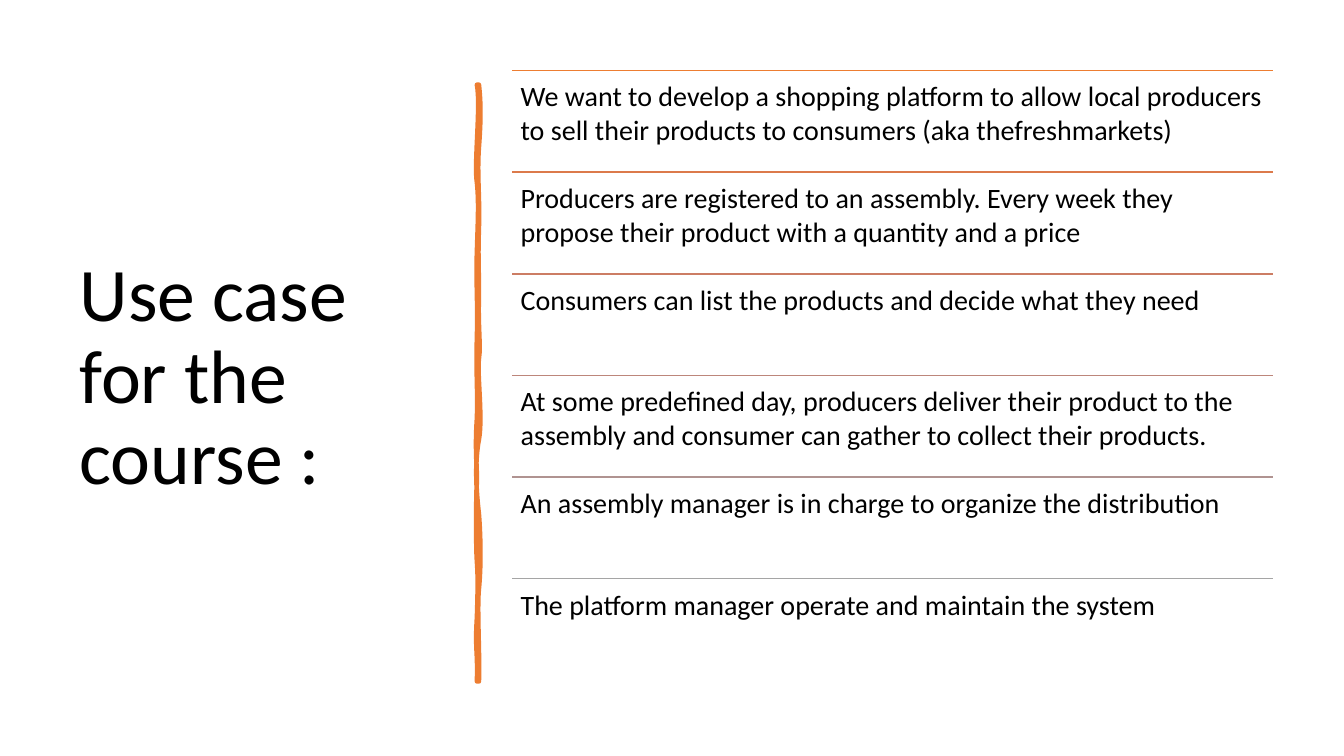
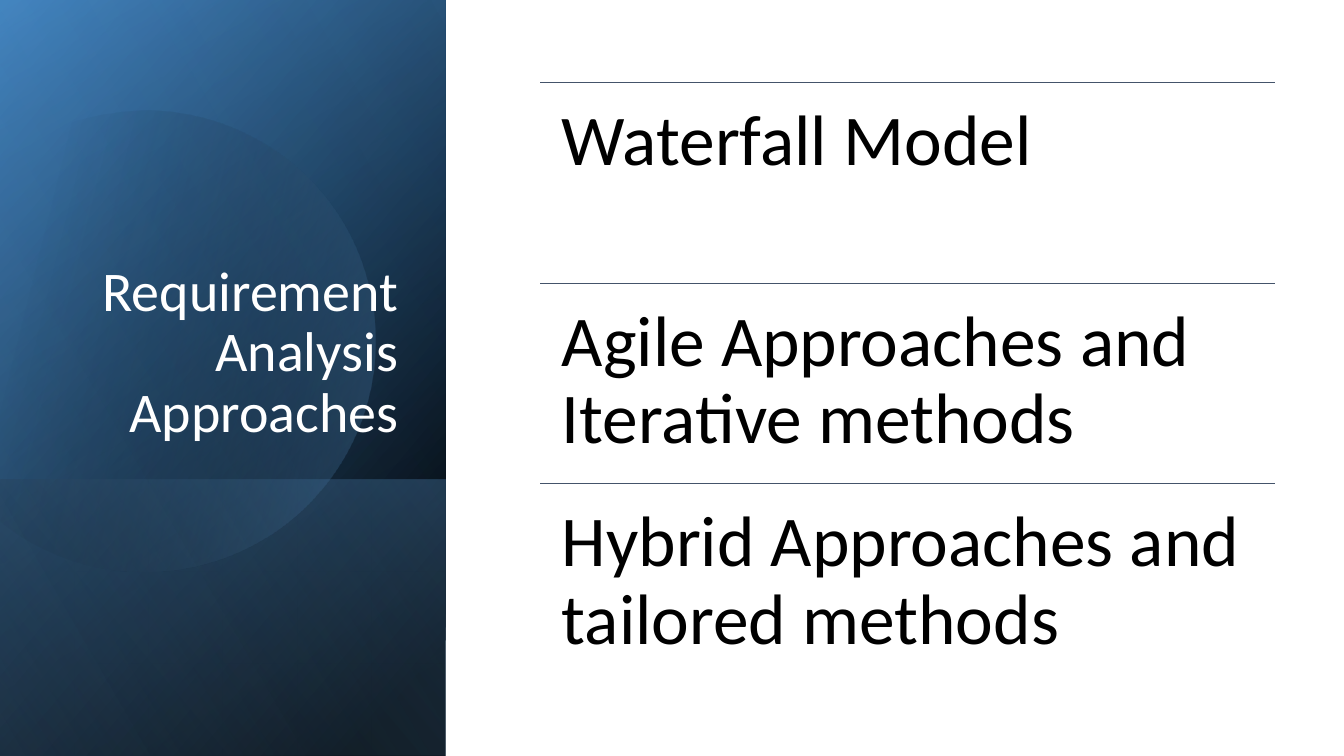
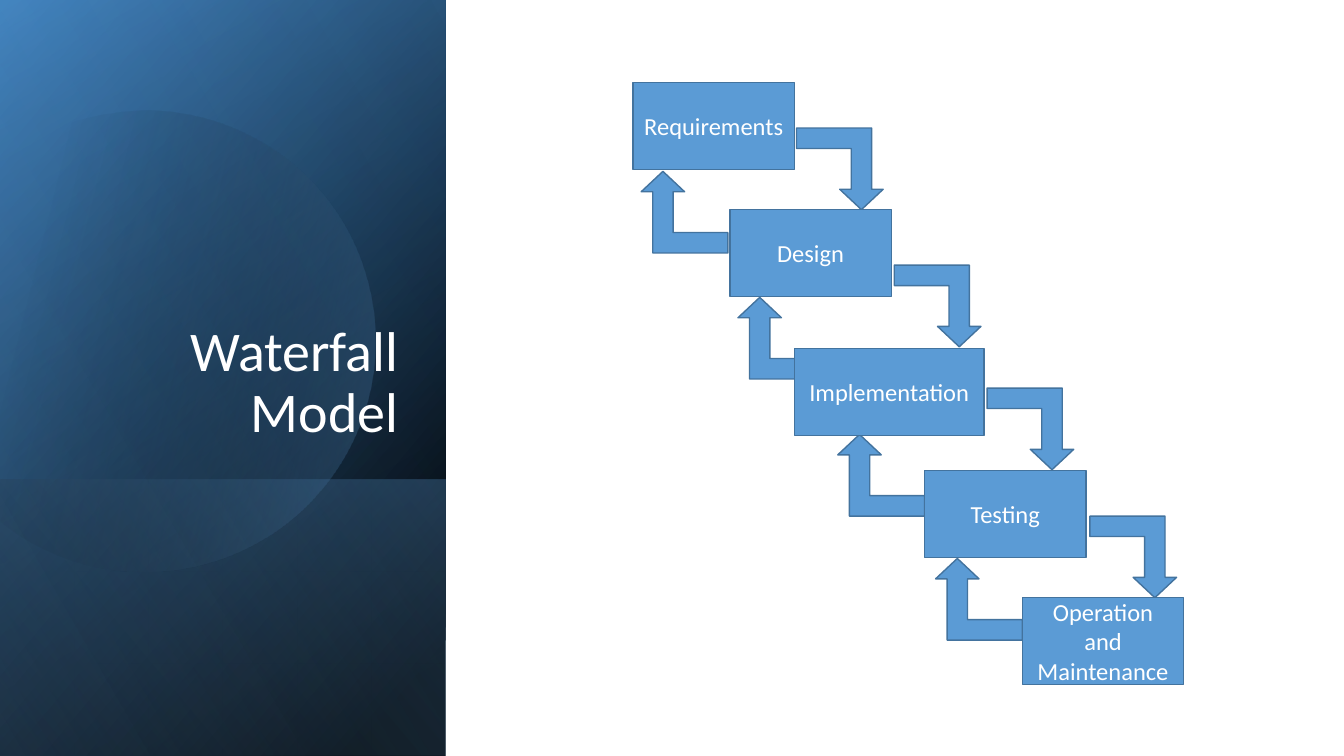
import math

import pptx
import pptx.util
import pptx.dml.color
import pptx.enum.shapes
import pptx.enum.text
import pptx.oxml.ns
from lxml import etree

Inches, Pt, qn = pptx.util.Inches, pptx.util.Pt, pptx.oxml.ns.qn
SHAPE = pptx.enum.shapes.MSO_SHAPE
ALIGN = pptx.enum.text.PP_ALIGN
ANCHOR = pptx.enum.text.MSO_ANCHOR

W, H = 13.33, 7.5
PANEL_W = 4.42
BLACK, WHITE, ORANGE, BLUE, EDGE = "000000", "FFFFFF", "ED7D31", "5B9BD5", "43739E"


def paint(sp, fill, line=None, width=1, angle=0):
    """Fill with a hex colour or with (position, hex, opacity) stops along a clockwise angle."""
    sp.shadow.inherit = False
    if isinstance(fill, str):
        sp.fill.solid()
        sp.fill.fore_color.rgb = pptx.dml.color.RGBColor.from_string(fill)
    else:
        sp.fill.gradient()
        sp.fill.gradient_angle = 360 - angle
        for stop, (pos, colour, _) in zip(sp.fill.gradient_stops, fill):
            stop.position = pos / 100
            stop.color.rgb = pptx.dml.color.RGBColor.from_string(colour)
        for clr, (_, _, opacity) in zip(sp._element.spPr.iter(qn("a:srgbClr")), fill):
            if opacity < 100:
                etree.SubElement(clr, qn("a:alpha")).set("val", str(opacity * 1000))
    if line:
        sp.line.color.rgb = pptx.dml.color.RGBColor.from_string(line)
        sp.line.width = Pt(width)
    else:
        sp.line.fill.background()


def write(sp, text, size, colour, align=ALIGN.LEFT, anchor=ANCHOR.TOP, spacing=1.0, inset=None):
    tf = sp.text_frame
    tf.word_wrap = True
    tf.auto_size = pptx.enum.text.MSO_AUTO_SIZE.NONE
    tf.vertical_anchor = anchor
    if inset:
        tf.margin_left = tf.margin_right = tf.margin_top = tf.margin_bottom = Pt(inset)
    p = tf.paragraphs[0]
    p.alignment, p.line_spacing = align, spacing
    r = p.add_run()
    r.text = text
    r.font.name, r.font.size = "Calibri", Pt(size)
    r.font.color.rgb = pptx.dml.color.RGBColor.from_string(colour)


prs = pptx.Presentation()
prs.slide_width, prs.slide_height = Inches(W), Inches(H)
title_only = prs.slide_layouts[5]
use_case, approaches, waterfall = [prs.slides.add_slide(title_only) for _ in range(3)]

# Titles
titles = [
    (use_case, "Use case for the course :", (0.69, 0.7, 3.74, 6.11),
     (54, BLACK, ALIGN.LEFT, ANCHOR.MIDDLE)),
    (approaches, "Requirement Analysis Approaches", (0.64, 1.84, 3.41, 2.62),
     (40, WHITE, ALIGN.RIGHT, ANCHOR.BOTTOM)),
    (waterfall, "Waterfall Model", (0.64, 1.84, 3.41, 2.62),
     (40, WHITE, ALIGN.RIGHT, ANCHOR.BOTTOM)),
]
for s, text, box, style in titles:
    sp = s.shapes.title
    sp.left, sp.top, sp.width, sp.height = map(Inches, box)
    write(sp, text, *style, spacing=0.9)

# Outlines in inches: a start point, then lines (one point) and Bézier curves (three points)
brush = [
    [(4.75, 0.84)],
    [(4.77, 1.02), (4.77, 1.19), (4.75, 1.46)],
    [(4.73, 1.73), (4.76, 1.95), (4.75, 2.26)],
    [(4.74, 2.57), (4.75, 2.62), (4.75, 2.94)],
    [(4.74, 3.25), (4.77, 3.42), (4.75, 3.56)],
    [(4.73, 3.7), (4.79, 4.14), (4.75, 4.36)],
    [(4.71, 4.57), (4.72, 4.84), (4.75, 5.1)],
    [(4.77, 5.36), (4.77, 5.64), (4.75, 5.84)],
    [(4.73, 6.03), (4.76, 6.5), (4.75, 6.76)],
    [(4.73, 6.76)],
    [(4.74, 6.46), (4.71, 6.44), (4.73, 6.13)],
    [(4.74, 5.83), (4.74, 5.7), (4.73, 5.57)],
    [(4.72, 5.44), (4.72, 4.95), (4.73, 4.77)],
    [(4.73, 4.59), (4.71, 4.45), (4.73, 4.15)],
    [(4.74, 3.86), (4.72, 3.73), (4.73, 3.35)],
    [(4.74, 2.98), (4.72, 2.81), (4.73, 2.5)],
    [(4.74, 2.18), (4.75, 2), (4.73, 1.81)],
    [(4.7, 1.63), (4.77, 1.04), (4.73, 0.84)],
]
disc = [
    [(1.49, 1.1)],
    [(2.46, 1.12), (3.35, 1.77), (3.63, 2.75)],
    [(3.98, 3.97), (3.28, 5.23), (2.07, 5.58)],
    [(1.31, 5.8), (0.53, 5.61), (-0.03, 5.14)],
    [(-0.15, 5.03)],
    [(-0.15, 1.75)],
    [(0, 1.61)],
    [(0.23, 1.42), (0.5, 1.28), (0.8, 1.19)],
    [(1.03, 1.13), (1.26, 1.1), (1.49, 1.1)],
]
DISC_TILT = 16.1
freeforms = []
for s, segments, tilt in [(use_case, brush, 0), (approaches, disc, DISC_TILT),
                          (waterfall, disc, DISC_TILT)]:
    # The outline is turned upright here, and the shape's rotation tilts it back
    turn = complex(math.cos(math.radians(tilt)), math.sin(math.radians(tilt)))
    upright = [complex(x, y) * turn for seg in segments for x, y in seg]
    points = [(Inches(z.real), Inches(z.imag)) for z in upright]
    fb = s.shapes.build_freeform(*points[0], scale=1.0)
    fb.add_line_segments(points[1:], close=True)
    sp = fb.convert_to_shape()
    centre = complex(sp.left + sp.width / 2, sp.top + sp.height / 2) / turn
    sp.left = round(centre.real - sp.width / 2)
    sp.top = round(centre.imag - sp.height / 2)
    sp.rotation = -tilt % 360
    # Join each triple of points into one curve
    nodes = iter(list(sp._element.iter(qn("a:lnTo"))))
    for seg in segments[1:]:
        group = [next(nodes) for _ in seg]
        if len(group) == 3:
            curve = etree.Element(qn("a:cubicBezTo"))
            group[0].addprevious(curve)
            for node in group:
                curve.append(node[0])
                node.getparent().remove(node)
    freeforms.append(sp)
brush_stroke, *discs = freeforms
paint(brush_stroke, ORANGE, ORANGE, 3.25)

# Blue side panel: turned rectangles rising from the bottom edge, with the disc among them
layers = [
    (H, [(8, BLACK, 100), (100, "2E75B6", 100)], 50),
    (H, [(0, BLACK, 0), (99, BLUE, 46)], 30),
    (2.74, [(2, BLUE, 29), (100, BLACK, 30)], 130),
    (None, [(29, BLACK, 0), (100, BLUE, 43)], 30),
    (H, [(0, BLACK, 0), (99, "9DC3E6", 11)], 120),
]
for s, panel_disc in zip((approaches, waterfall), discs):
    title = s.shapes.title._element
    for rise, stops, angle in layers:
        sp = panel_disc
        if rise:
            sp = s.shapes.add_shape(SHAPE.RECTANGLE, Inches((PANEL_W - rise) / 2),
                                    Inches(H - (rise + PANEL_W) / 2),
                                    Inches(rise), Inches(PANEL_W))
            sp.rotation = 90
            sp._element.spPr.xfrm.set("flipH", "1")
        paint(sp, stops, angle=angle)
        title.addprevious(sp._element)

# Ruled lists: left, top, width, row height, text size, line spacing, inset, rule width, rows
use_case_rows = [
    (ORANGE, "We want to develop a shopping platform to allow local producers to sell "
             "their products to consumers (aka thefreshmarkets)"),
    ("DC7A4B", "Producers are registered to an assembly. Every week they propose their "
               "product with a quantity and a price"),
    ("CC7D64", "Consumers can list the products and decide what they need"),
    ("BD867B", "At some predefined day, producers deliver their product to the assembly "
               "and consumer can gather to collect their products."),
    ("B09391", "An assembly manager is in charge to organize the distribution"),
    ("A5A5A5", "The platform manager operate and maintain the system"),
]
approach_rows = [("44546A", text) for text in (
    "Waterfall Model",
    "Agile Approaches and Iterative methods",
    "Hybrid Approaches and tailored methods",
)]
lists = [
    (use_case, 5.08, 0.7, 7.55, 6.05 / 6, 20, 1.0, 6, 1, use_case_rows),
    (approaches, 5.36, 0.82, 7.29, 1.99, 51, 0.9, 15.3, 0.5, approach_rows),
]
for s, left, top, width, row_h, size, spacing, inset, rule_w, rows in lists:
    for i, (colour, text) in enumerate(rows):
        y = Inches(top + i * row_h)
        rule = s.shapes.add_connector(pptx.enum.shapes.MSO_CONNECTOR.STRAIGHT,
                                      Inches(left), y, Inches(left + width), y)
        rule.line.color.rgb = pptx.dml.color.RGBColor.from_string(colour)
        rule.line.width = Pt(rule_w)
        etree.SubElement(rule._element.spPr, qn("a:effectLst"))
        sp = s.shapes.add_textbox(Inches(left), y, Inches(width), Inches(row_h))
        write(sp, text, size, BLACK, spacing=spacing, inset=inset)

# Waterfall: arrows down to the next step and back up, then the steps themselves
BOX_H, ARROW_W, ARROW_H = 0.86, 0.86, 0.81
arrows = {
    0: [(6.36, 1.7), (7.32, 2.95), (8.31, 4.31), (9.28, 5.54)],
    180: [(7.9, 1.27), (8.87, 2.63), (9.79, 3.85), (10.81, 5.12)],
}
steps = [
    ("Requirements", 6.28, 0.82, 1.6),
    ("Design", 7.24, 2.08, 1.6),
    ("Implementation", 7.88, 3.46, 1.88),
    ("Testing", 9.17, 4.67, 1.6),
    ("Operation and Maintenance", 10.14, 5.93, 1.6),
]
for rotation, places in arrows.items():
    for left, top in places:
        sp = waterfall.shapes.add_shape(SHAPE.BENT_UP_ARROW, Inches(left), Inches(top),
                                        Inches(ARROW_W), Inches(ARROW_H))
        sp.adjustments[1] = 0.266
        sp.rotation = rotation
        sp._element.spPr.xfrm.set("flipH", "1")
        paint(sp, BLUE, EDGE)
for text, left, top, width in steps:
    sp = waterfall.shapes.add_shape(SHAPE.RECTANGLE, Inches(left), Inches(top),
                                    Inches(width), Inches(BOX_H))
    paint(sp, BLUE, EDGE)
    write(sp, text, 17.5, WHITE, ALIGN.CENTER, ANCHOR.MIDDLE)

prs.save("out.pptx")
